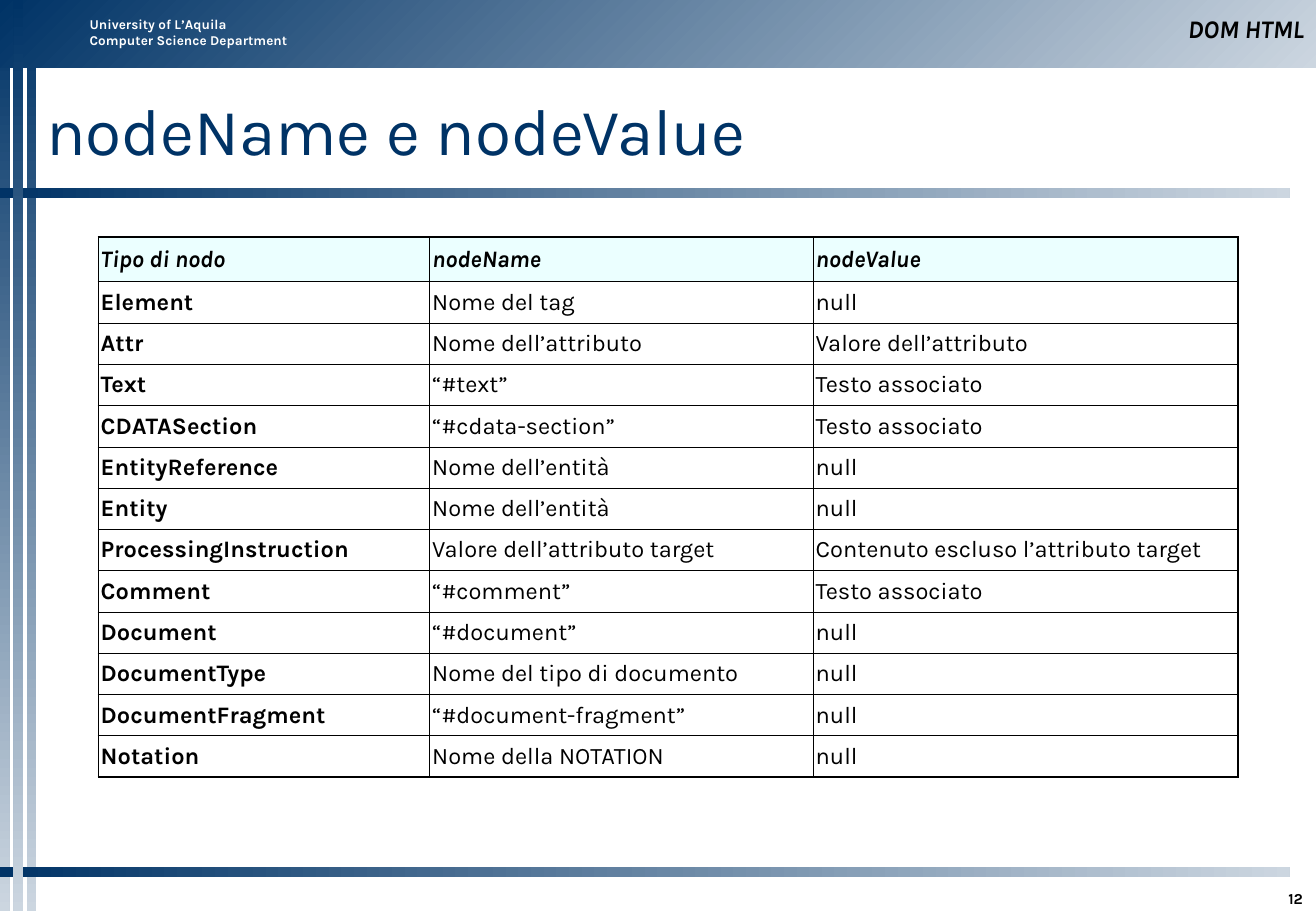
import copy

import pptx
import pptx.dml.color
import pptx.enum.shapes
import pptx.enum.text
import pptx.oxml
import pptx.oxml.ns
import pptx.util

# Content
TITLE = "nodeName e nodeValue"
INSTITUTION = "University of L’Aquila\nComputer Science Department"
TOPIC = "DOM HTML"
PAGE = "12"
NODE_ROWS = [
    ("Tipo di nodo", "nodeName", "nodeValue"),
    ("Element", "Nome del tag", "null"),
    ("Attr", "Nome dell’attributo", "Valore dell’attributo"),
    ("Text", "“#text”", "Testo associato"),
    ("CDATASection", "“#cdata-section”", "Testo associato"),
    ("EntityReference", "Nome dell’entità", "null"),
    ("Entity", "Nome dell’entità", "null"),
    ("ProcessingInstruction", "Valore dell’attributo target", "Contenuto escluso l’attributo target"),
    ("Comment", "“#comment”", "Testo associato"),
    ("Document", "“#document”", "null"),
    ("DocumentType", "Nome del tipo di documento", "null"),
    ("DocumentFragment", "“#document-fragment”", "null"),
    ("Notation", "Nome della NOTATION", "null"),
]

# Theme
THEME = {
    "font": "Karla",
    "navy": "003366", "mist": "CCD6E0", "white": "FFFFFF", "black": "000000", "header": "EBFFFF",
    "title": 39, "topic": 15, "cell": 14, "page": 9, "institution": 8,
    "outer_line": 1.08, "inner_line": 0.45,
}

# Layout in inches
WIDTH, HEIGHT = 10.84, 7.5
BAND_HEIGHT = 0.56
RULE_WIDTH, RULE_HEIGHT = 0.98 * WIDTH, 0.08
RULE_TOPS = (1.55, 7.14)
STRIPE_WIDTH, STRIPE_STEP = 0.08, 0.11
TABLE_LEFT, TABLE_TOP = 0.81, 1.95
COLUMN_WIDTHS = (2.73, 3.16, 3.5)
HEADER_HEIGHT, ROW_HEIGHT = 0.37, 0.34
CELL_MARGINS = (0.02, 0.05, 0.02, 0.05)
BOX_MARGINS = (0.1, 0.05, 0.1, 0.05)

ANCHOR = pptx.enum.text.MSO_ANCHOR
ALIGN = pptx.enum.text.PP_ALIGN
inches = pptx.util.Inches


def rgb(name):
    return pptx.dml.color.RGBColor.from_string(THEME[name])


def set_values(target, values):
    for name, value in values.items():
        setattr(target, name, value)


def set_margins(target, margins):
    sides = ("margin_left", "margin_top", "margin_right", "margin_bottom")
    set_values(target, dict(zip(sides, map(inches, margins))))


def write(text_frame, text, size, color, bold=False, italic=False, **paragraph_format):
    paragraph = text_frame.paragraphs[0]
    paragraph.text = text
    set_values(paragraph, paragraph_format)
    for run in paragraph.runs:
        set_values(run.font, {"name": THEME["font"], "size": pptx.util.Pt(THEME[size]),
                              "bold": bold, "italic": italic})
        run.font.color.rgb = rgb(color)
    # Line breaks take the type size of the text around them
    for line_break in paragraph._p.findall(pptx.oxml.ns.qn("a:br")):
        line_break.append(copy.deepcopy(paragraph.runs[0]._r.rPr))


def add_bar(slide, box, angle):
    """Add a navy-to-mist bar; the angle is counter-clockwise."""
    bar = slide.shapes.add_shape(pptx.enum.shapes.MSO_SHAPE.RECTANGLE, *map(inches, box))
    bar.shadow.inherit = False
    bar.line.fill.background()
    bar.fill.gradient()
    bar.fill.gradient_angle = angle
    for stop, color in zip(bar.fill.gradient_stops, ("navy", "mist")):
        stop.color.rgb = rgb(color)
    for stop, position in zip(bar.fill.gradient_stops, (0, 1)):
        stop.position = position


def add_stripe(slide, index):
    add_bar(slide, (index * STRIPE_STEP, 0, STRIPE_WIDTH, HEIGHT), 270)


def add_rule(slide, top):
    add_bar(slide, (0, top, RULE_WIDTH, RULE_HEIGHT), 0)


def add_text(slide, box, text, size, color, anchor, margins=BOX_MARGINS, **text_format):
    text_frame = slide.shapes.add_textbox(*map(inches, box)).text_frame
    set_values(text_frame, {"word_wrap": True, "vertical_anchor": anchor})
    set_margins(text_frame, margins)
    write(text_frame, text, size, color, **text_format)


def set_borders(cell, outer_sides):
    properties = cell._tc.get_or_add_tcPr()
    for index, side in enumerate("LRTB"):
        width = pptx.util.Pt(THEME["outer_line" if side in outer_sides else "inner_line"])
        properties.insert(index, pptx.oxml.parse_xml(
            f'<a:ln{side} {pptx.oxml.ns.nsdecls("a")} w="{int(width)}"><a:solidFill>'
            f'<a:srgbClr val="{THEME["black"]}"/></a:solidFill></a:ln{side}>'))


def add_node_table(slide):
    row_heights = [HEADER_HEIGHT] + [ROW_HEIGHT] * (len(NODE_ROWS) - 1)
    box = (TABLE_LEFT, TABLE_TOP, sum(COLUMN_WIDTHS), sum(row_heights))
    table = slide.shapes.add_table(len(NODE_ROWS), len(COLUMN_WIDTHS), *map(inches, box)).table
    set_values(table, {"first_row": False, "horz_banding": False})
    for column, width in zip(table.columns, COLUMN_WIDTHS):
        column.width = inches(width)
    last_row, last_column = len(NODE_ROWS) - 1, len(COLUMN_WIDTHS) - 1
    for row_index, values in enumerate(NODE_ROWS):
        table.rows[row_index].height = inches(row_heights[row_index])
        is_header = row_index == 0
        for column_index, value in enumerate(values):
            cell = table.cell(row_index, column_index)
            cell.vertical_anchor = ANCHOR.MIDDLE
            set_margins(cell, CELL_MARGINS)
            write(cell.text_frame, value, "cell", "black", bold=is_header or column_index == 0,
                  italic=is_header, space_before=pptx.util.Pt(3.5))
            if is_header:
                cell.fill.solid()
                cell.fill.fore_color.rgb = rgb("header")
            else:
                cell.fill.background()
            edges = {"L": column_index == 0, "R": column_index == last_column,
                     "T": is_header, "B": row_index == last_row}
            set_borders(cell, [side for side, is_outer in edges.items() if is_outer])


def main():
    presentation = pptx.Presentation()
    set_values(presentation, {"slide_width": inches(WIDTH), "slide_height": inches(HEIGHT)})
    slide = presentation.slides.add_slide(presentation.slide_layouts[6])

    # Frame: the middle stripe crosses over the rules
    add_stripe(slide, 0)
    add_stripe(slide, 2)
    add_bar(slide, (0, 0, WIDTH, BAND_HEIGHT), 315)
    for top in RULE_TOPS:
        add_rule(slide, top)
    add_stripe(slide, 1)

    # Header, title and page number
    add_text(slide, (0.64, 0.08, 2.01, 0.37), INSTITUTION, "institution", "white", ANCHOR.TOP,
             bold=True, space_before=pptx.util.Pt(5))
    add_text(slide, (0.38, 0.58, 10.27, 0.96), TITLE, "title", "navy", ANCHOR.MIDDLE,
             margins=(0, 0, 0, 0))
    add_text(slide, (9.65, 7.22, 1.18, 0.25), PAGE, "page", "black", ANCHOR.BOTTOM,
             margins=(0.1, 0.05, 0.1, 0), bold=True, alignment=ALIGN.RIGHT)
    add_text(slide, (5.6, 0.08, 5.24, 0.33), TOPIC, "topic", "black", ANCHOR.BOTTOM,
             bold=True, italic=True, alignment=ALIGN.RIGHT)

    # Table of node types
    add_node_table(slide)
    presentation.save("out.pptx")


if __name__ == "__main__":
    main()
